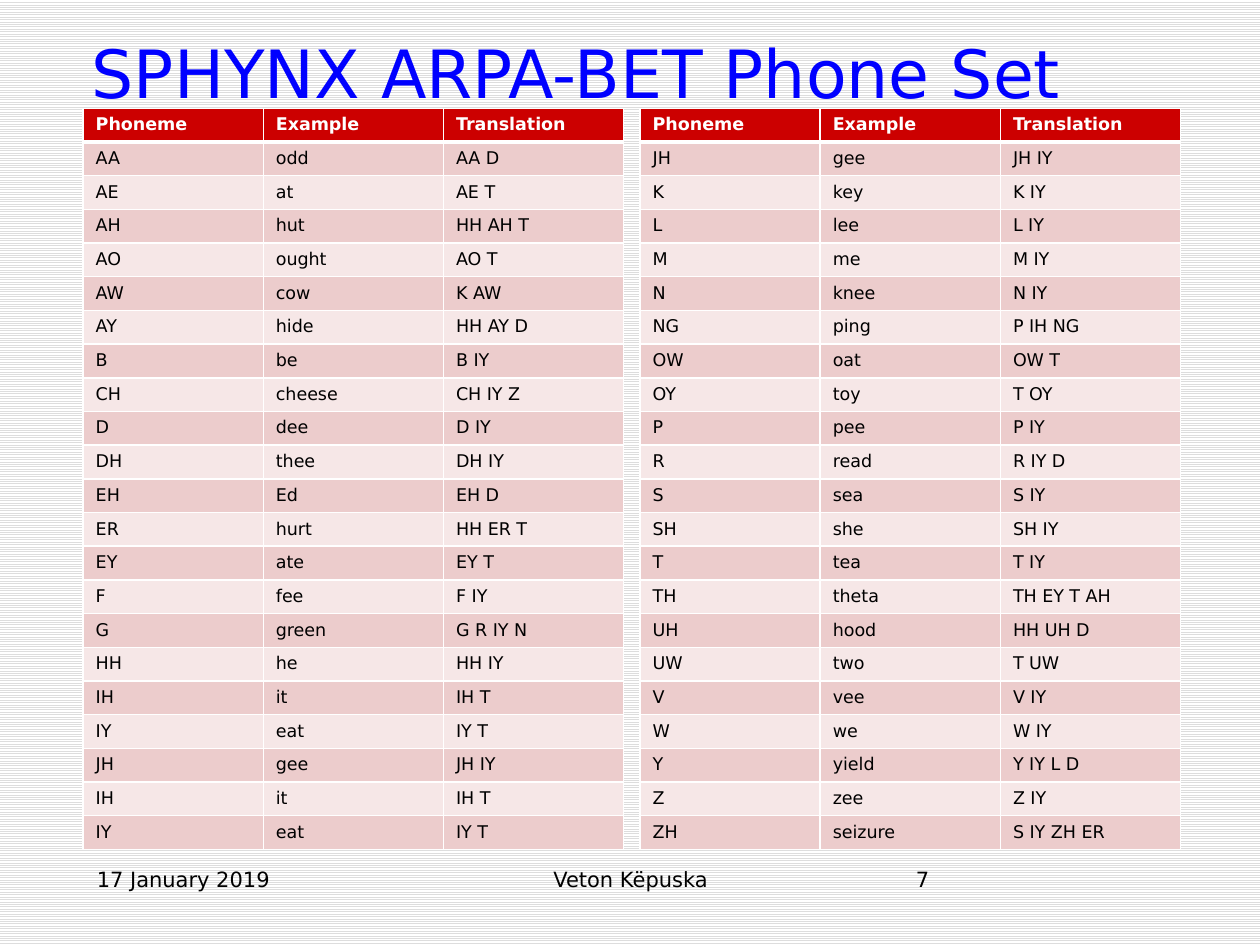
from lxml.etree import SubElement
from pptx import Presentation
from pptx.dml.color import RGBColor
from pptx.enum.dml import MSO_PATTERN
from pptx.enum.text import MSO_ANCHOR, PP_ALIGN
from pptx.oxml.ns import qn
from pptx.util import Inches, Pt

FONT = "DejaVu Sans"
TITLE = "SPHYNX ARPA-BET Phone Set"
HEADERS = ("Phoneme", "Example", "Translation")
LEFT_PHONES = [
    ("AA", "odd", "AA D"),
    ("AE", "at", "AE T"),
    ("AH", "hut", "HH AH T"),
    ("AO", "ought", "AO T"),
    ("AW", "cow", "K AW"),
    ("AY", "hide", "HH AY D"),
    ("B", "be", "B IY"),
    ("CH", "cheese", "CH IY Z"),
    ("D", "dee", "D IY"),
    ("DH", "thee", "DH IY"),
    ("EH", "Ed", "EH D"),
    ("ER", "hurt", "HH ER T"),
    ("EY", "ate", "EY T"),
    ("F", "fee", "F IY"),
    ("G", "green", "G R IY N"),
    ("HH", "he", "HH IY"),
    ("IH", "it", "IH T"),
    ("IY", "eat", "IY T"),
    ("JH", "gee", "JH IY"),
    ("IH", "it", "IH T"),
    ("IY", "eat", "IY T"),
]
RIGHT_PHONES = [
    ("JH", "gee", "JH IY"),
    ("K", "key", "K IY"),
    ("L", "lee", "L IY"),
    ("M", "me", "M IY"),
    ("N", "knee", "N IY"),
    ("NG", "ping", "P IH NG"),
    ("OW", "oat", "OW T"),
    ("OY", "toy", "T OY"),
    ("P", "pee", "P IY"),
    ("R", "read", "R IY D"),
    ("S", "sea", "S IY"),
    ("SH", "she", "SH IY"),
    ("T", "tea", "T IY"),
    ("TH", "theta", "TH EY T AH"),
    ("UH", "hood", "HH UH D"),
    ("UW", "two", "T UW"),
    ("V", "vee", "V IY"),
    ("W", "we", "W IY"),
    ("Y", "yield", "Y IY L D"),
    ("Z", "zee", "Z IY"),
    ("ZH", "seizure", "S IY ZH ER"),
]
TABLES = [(0.66, LEFT_PHONES), (5.08, RIGHT_PHONES)]
TABLE_TOP, COLUMN_WIDTH, ROW_HEIGHT = 0.86, 1.43, 0.26
FOOTERS = [
    ("17 January 2019", 0.67, 2.17, PP_ALIGN.LEFT),
    ("Veton Këpuska", 3.42, 3.17, PP_ALIGN.CENTER),
    ("7", 7.17, 2.17, PP_ALIGN.LEFT),
]


def color(value):
    return RGBColor.from_string(value)


def write(text_frame, text, size, text_color, bold=False, align=PP_ALIGN.LEFT):
    text_frame.text = text
    paragraph = text_frame.paragraphs[0]
    paragraph.alignment = align
    font = paragraph.runs[0].font
    font.name, font.size, font.bold = FONT, Pt(size), bold
    font.color.rgb = color(text_color)


def add_text(slide, text, box, size, text_color, align=PP_ALIGN.LEFT, anchor=MSO_ANCHOR.TOP):
    text_frame = slide.shapes.add_textbox(*map(Inches, box)).text_frame
    text_frame.word_wrap = True
    text_frame.vertical_anchor = anchor
    write(text_frame, text, size, text_color, align=align)


def set_borders(cell, top, bottom):
    properties = cell._tc.get_or_add_tcPr()
    for side, width in (("L", 1), ("R", 1), ("T", top), ("B", bottom)):
        line = SubElement(properties, qn(f"a:ln{side}"), w=str(Pt(width)))
        fill = SubElement(line, qn("a:solidFill"))
        SubElement(fill, qn("a:srgbClr"), val="FFFFFF")


def add_phone_table(slide, left, phones):
    rows = [HEADERS] + phones
    columns = len(HEADERS)
    table = slide.shapes.add_table(
        len(rows), columns, Inches(left), Inches(TABLE_TOP),
        Inches(COLUMN_WIDTH * columns), Inches(ROW_HEIGHT * len(rows))).table
    for column in table.columns:
        column.width = Inches(COLUMN_WIDTH)
    for index, values in enumerate(rows):
        table.rows[index].height = Inches(ROW_HEIGHT)
        header = index == 0
        fill = "CC0000" if header else ("F6E7E7", "ECCCCC")[index % 2]
        for cell, value in zip(table.rows[index].cells, values):
            set_borders(cell, top=3 if index == 1 else 1, bottom=3 if header else 1)
            cell.fill.solid()
            cell.fill.fore_color.rgb = color(fill)
            write(cell.text_frame, value, 10, "FFFFFF" if header else "000000", bold=header)


def main():
    presentation = Presentation()
    presentation.slide_width, presentation.slide_height = Inches(10), Inches(7.5)
    slide = presentation.slides.add_slide(presentation.slide_layouts[6])
    background = slide.background.fill
    background.patterned()
    background.pattern = MSO_PATTERN.LIGHT_HORIZONTAL
    background.fore_color.rgb = color("DDDDDD")
    background.back_color.rgb = color("FFFFFF")
    for text, left, width, align in FOOTERS:
        add_text(slide, text, (left, 6.83, width, 0.52), 12, "000000", align)
    add_text(slide, TITLE, (0.63, 0.02, 8.75, 0.92), 38, "0000FF", anchor=MSO_ANCHOR.BOTTOM)
    for left, phones in TABLES:
        add_phone_table(slide, left, phones)
    presentation.save("out.pptx")


if __name__ == "__main__":
    main()
